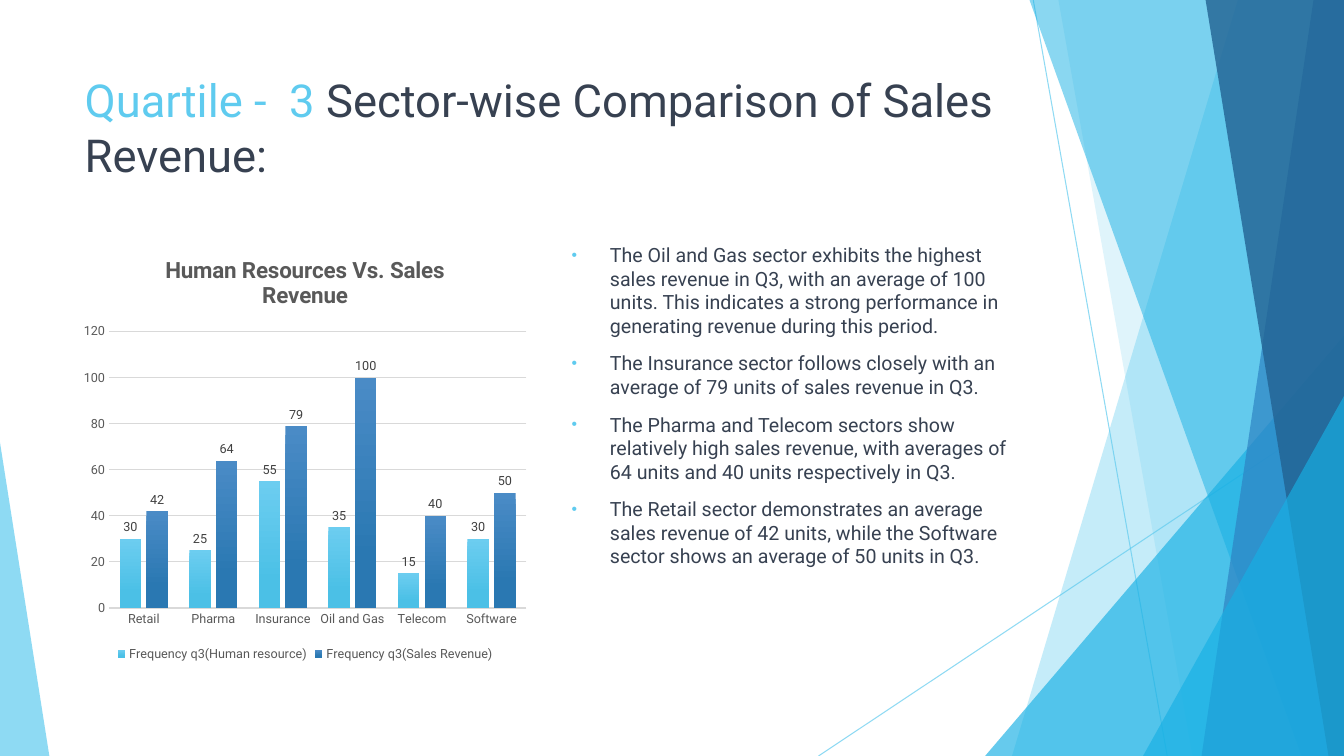
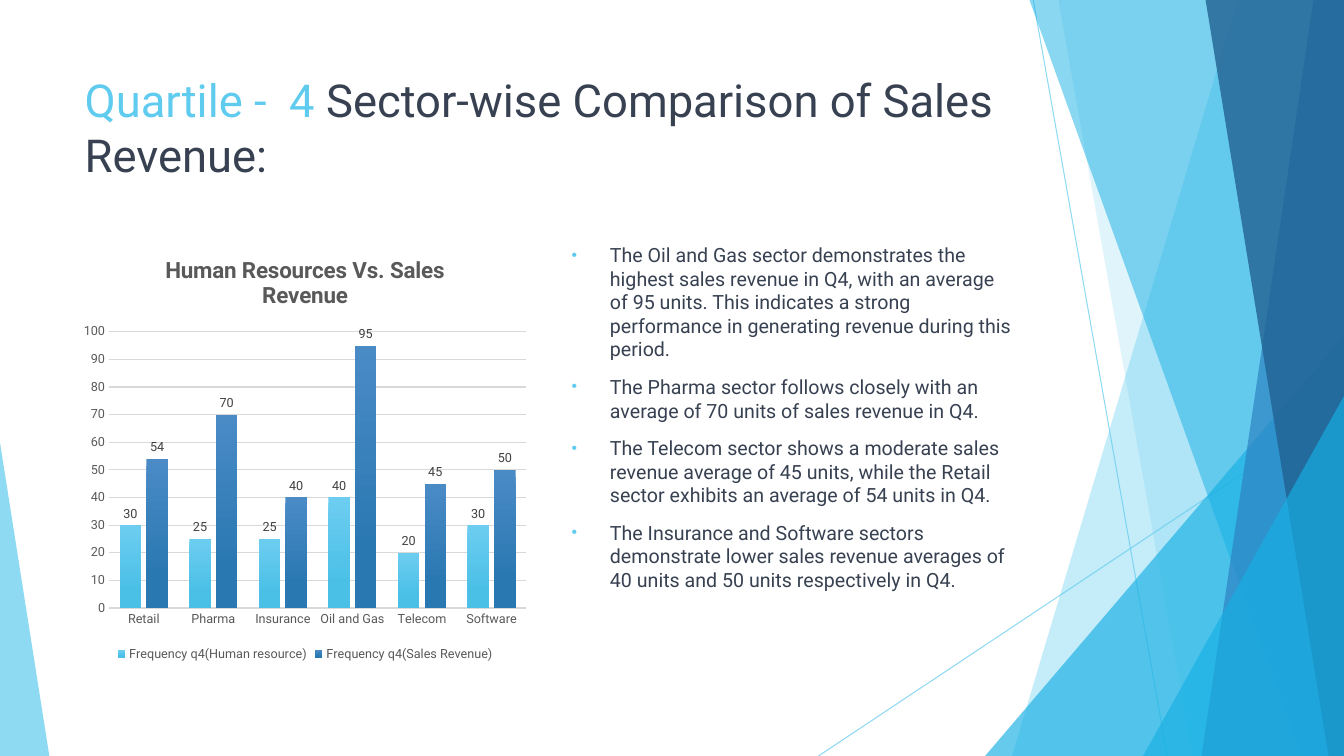
from dataclasses import dataclass

from lxml import etree
from pptx import Presentation
from pptx.chart.data import CategoryChartData
from pptx.dml.color import RGBColor
from pptx.enum.chart import XL_CHART_TYPE as ChartType
from pptx.enum.chart import XL_LABEL_POSITION as LabelPosition
from pptx.enum.chart import XL_LEGEND_POSITION as LegendPosition
from pptx.enum.chart import XL_TICK_MARK as TickMark
from pptx.enum.shapes import MSO_CONNECTOR as Connector
from pptx.enum.shapes import MSO_SHAPE as Preset
from pptx.enum.text import MSO_ANCHOR as Anchor
from pptx.enum.text import MSO_AUTO_SIZE as AutoSize
from pptx.enum.text import PP_ALIGN as Align
from pptx.oxml.ns import qn
from pptx.util import Inches, Pt


@dataclass(frozen=True)
class Theme:
    font: str = "Roboto"
    sky: str = "5FCBEF"
    cyan: str = "17B0E4"
    blue: str = "2E83C3"
    navy: str = "226292"
    text: str = "374151"
    chart_text: str = "595959"
    label_text: str = "404040"
    rule: str = "D9D9D9"
    series: tuple = (("6CCDF0", "4BC0E6"), ("4A8BC6", "2A78B2"))
    title_size: float = 32.4
    body_size: float = 14
    chart_title_size: float = 16
    chart_size: float = 9


THEME = Theme()
WIDTH, HEIGHT = Inches(13.33), Inches(7.5)

# Left, top, width, height as percentages of the slide
TITLE_BOX = (5.55, 8.9, 70.5, 19.2)
CHART_BOX = (5.55, 31.5, 34.3, 56.5)
BODY_BOX = (41.78, 31.5, 34.35, 56.5)

SECTORS = ("Retail", "Pharma", "Insurance", "Oil and Gas", "Telecom", "Software")


@dataclass(frozen=True)
class Quarter:
    number: int
    resources: tuple
    revenue: tuple
    axis_top: int
    axis_step: int
    findings: tuple


QUARTERS = (
    Quarter(
        3, (30, 25, 55, 35, 15, 30), (42, 64, 79, 100, 40, 50), 120, 20,
        (
            "The Oil and Gas sector exhibits the highest sales revenue in Q3, with an "
            "average of 100 units. This indicates a strong performance in generating "
            "revenue during this period.",
            "The Insurance sector follows closely with an average of 79 units of sales "
            "revenue in Q3.",
            "The Pharma and Telecom sectors show relatively high sales revenue, with "
            "averages of 64 units and 40 units respectively in Q3.",
            "The Retail sector demonstrates an average sales revenue of 42 units, while "
            "the Software sector shows an average of 50 units in Q3.",
        ),
    ),
    Quarter(
        4, (30, 25, 25, 40, 20, 30), (54, 70, 40, 95, 45, 50), 100, 10,
        (
            "The Oil and Gas sector demonstrates the highest sales revenue in Q4, with "
            "an average of 95 units. This indicates a strong performance in generating "
            "revenue during this period.",
            "The Pharma sector follows closely with an average of 70 units of sales "
            "revenue in Q4.",
            "The Telecom sector shows a moderate sales revenue average of 45 units, "
            "while the Retail sector exhibits an average of 54 units in Q4.",
            "The Insurance and Software sectors demonstrate lower sales revenue averages "
            "of 40 units and 50 units respectively in Q4.",
        ),
    ),
)


def across(percent):
    return round(WIDTH * percent / 100)


def down(percent):
    return round(HEIGHT * percent / 100)


def place(box):
    left, top, width, height = box
    return across(left), down(top), across(width), down(height)


def color(value):
    return RGBColor.from_string(value)


def set_font(font, size, value, bold=False):
    font.name, font.size, font.bold = THEME.font, Pt(size), bold
    font.color.rgb = color(value)


def set_opacity(shape, percent):
    for node in shape.element.spPr.iter(qn("a:srgbClr")):
        etree.SubElement(node, qn("a:alpha")).set("val", str(percent * 1000))


def paint(shape, value, opacity):
    shape.shadow.inherit = False
    shape.fill.solid()
    shape.fill.fore_color.rgb = color(value)
    shape.line.fill.background()
    set_opacity(shape, opacity)


def add_ray(shapes, start, end):
    ray = shapes.add_connector(Connector.STRAIGHT, across(start[0]), down(start[1]),
                               across(end[0]), down(end[1]))
    ray.line.color.rgb = color(THEME.sky)
    ray.line.width = Pt(0.75)
    set_opacity(ray, 70)
    etree.SubElement(ray.element.spPr, qn("a:effectLst"))


def add_strip(shapes, top_x, bottom_x, value, opacity):
    """Fill from a slanted left edge to the right edge of the slide."""
    builder = shapes.build_freeform(across(top_x), 0)
    builder.add_line_segments([(WIDTH, 0), (WIDTH, HEIGHT), (across(bottom_x), HEIGHT)])
    paint(builder.convert_to_shape(), value, opacity)


def add_corner(shapes, left, right, top, apex, value, opacity):
    """Triangle standing on the bottom edge; apex is 0 (left) or 1 (right)."""
    corner = shapes.add_shape(Preset.ISOSCELES_TRIANGLE,
                              *place((left, top, right - left, 100 - top)))
    corner.adjustments[0] = apex
    paint(corner, value, opacity)


def draw_facets(shapes):
    add_ray(shapes, (76.88, 0), (86.85, 100))
    add_ray(shapes, (100, 53.75), (60.9, 100))
    add_strip(shapes, 92.1, 75.3, THEME.sky, 36)
    add_strip(shapes, 78.75, 88.73, THEME.sky, 20)
    add_corner(shapes, 73.3, 100, 44.4, 1, THEME.cyan, 66)
    add_strip(shapes, 76.6, 96.83, THEME.cyan, 50)
    add_strip(shapes, 97.73, 89.4, THEME.blue, 70)
    add_strip(shapes, 89.7, 98.85, THEME.navy, 80)
    add_corner(shapes, 85.05, 100, 52.4, 1, THEME.cyan, 66)
    add_corner(shapes, 0, 3.67, 58.55, 0, THEME.sky, 70)


def move_facets_to_layout(slide, layout):
    facets = [shape for shape in slide.shapes if not shape.is_placeholder]
    for index, facet in enumerate(facets):
        facet.element.xpath(".//p:cNvPr")[0].set("id", str(100 + index))
        layout.shapes.element.insert(2 + index, facet.element)


def prepare_layout(layout):
    for placeholder, box in zip(layout.placeholders, (TITLE_BOX, BODY_BOX)):
        (placeholder.left, placeholder.top,
         placeholder.width, placeholder.height) = place(box)
        placeholder.text_frame.vertical_anchor = Anchor.TOP
        placeholder.text_frame.auto_size = AutoSize.NONE


def fill_title(title, number):
    paragraph = title.text_frame.paragraphs[0]
    paragraph.alignment = Align.LEFT
    for text, value in ((f"Quartile -  {number} ", THEME.sky),
                        ("Sector-wise Comparison of Sales Revenue:", THEME.text)):
        run = paragraph.add_run()
        run.text = text
        set_font(run.font, THEME.title_size, value)


def add_bullet(paragraph):
    properties = paragraph._p.get_or_add_pPr()
    properties.set("marL", str(Inches(0.38)))
    properties.set("indent", str(-Inches(0.38)))
    bullet_color = etree.SubElement(properties, qn("a:buClr"))
    etree.SubElement(bullet_color, qn("a:srgbClr")).set("val", THEME.sky)
    etree.SubElement(properties, qn("a:buSzPct")).set("val", "80000")
    etree.SubElement(properties, qn("a:buChar")).set("char", "•")


def fill_body(body, findings):
    frame = body.text_frame
    frame.text = "\n".join(findings)
    for index, paragraph in enumerate(frame.paragraphs):
        add_bullet(paragraph)
        paragraph.space_before = Pt(10 if index else 0)
        set_font(paragraph.font, THEME.body_size, THEME.text)


def style_axes(chart, quarter):
    for axis in (chart.category_axis, chart.value_axis):
        axis.major_tick_mark = axis.minor_tick_mark = TickMark.NONE
        set_font(axis.tick_labels.font, THEME.chart_size, THEME.chart_text)
    chart.category_axis.format.line.color.rgb = color(THEME.rule)
    chart.category_axis.format.line.width = Pt(1)
    values = chart.value_axis
    values.minimum_scale, values.maximum_scale = 0, quarter.axis_top
    values.major_unit = quarter.axis_step
    values.format.line.fill.background()
    values.major_gridlines.format.line.color.rgb = color(THEME.rule)
    values.major_gridlines.format.line.width = Pt(0.75)


def style_series(series, shades):
    fill = series.format.fill
    fill.gradient()
    fill.gradient_angle = 270
    for stop, shade, position in zip(fill.gradient_stops, shades, (0, 0.78)):
        stop.color.rgb, stop.position = color(shade), position
    labels = series.data_labels
    labels.show_value = True
    labels.position = LabelPosition.OUTSIDE_END
    set_font(labels.font, THEME.chart_size, THEME.label_text)


def add_column_chart(shapes, quarter):
    data = CategoryChartData()
    data.categories = SECTORS
    prefix = f"Frequency q{quarter.number}"
    data.add_series(f"{prefix}(Human resource)", quarter.resources)
    data.add_series(f"{prefix}(Sales Revenue)", quarter.revenue)
    chart = shapes.add_chart(ChartType.COLUMN_CLUSTERED, *place(CHART_BOX), data).chart
    set_font(chart.font, THEME.chart_size, THEME.chart_text)

    heading = chart.chart_title.text_frame
    heading.text = "Human Resources Vs. Sales Revenue"
    set_font(heading.paragraphs[0].font, THEME.chart_title_size, THEME.chart_text, True)

    chart.has_legend = True
    chart.legend.position = LegendPosition.BOTTOM
    chart.legend.include_in_layout = False
    set_font(chart.legend.font, THEME.chart_size, THEME.chart_text)

    plot = chart.plots[0]
    plot.gap_width, plot.overlap = 100, -24
    plot.vary_by_categories = False
    for series, shades in zip(plot.series, THEME.series):
        style_series(series, shades)
    style_axes(chart, quarter)


def main():
    presentation = Presentation()
    presentation.slide_width, presentation.slide_height = WIDTH, HEIGHT
    layout = presentation.slide_layouts.get_by_name("Title and Content")
    prepare_layout(layout)
    for quarter in QUARTERS:
        slide = presentation.slides.add_slide(layout)
        if quarter is QUARTERS[0]:
            draw_facets(slide.shapes)
            move_facets_to_layout(slide, layout)
        title, body = slide.placeholders
        fill_title(title, quarter.number)
        add_column_chart(slide.shapes, quarter)
        fill_body(body, quarter.findings)
    presentation.save("out.pptx")


if __name__ == "__main__":
    main()
